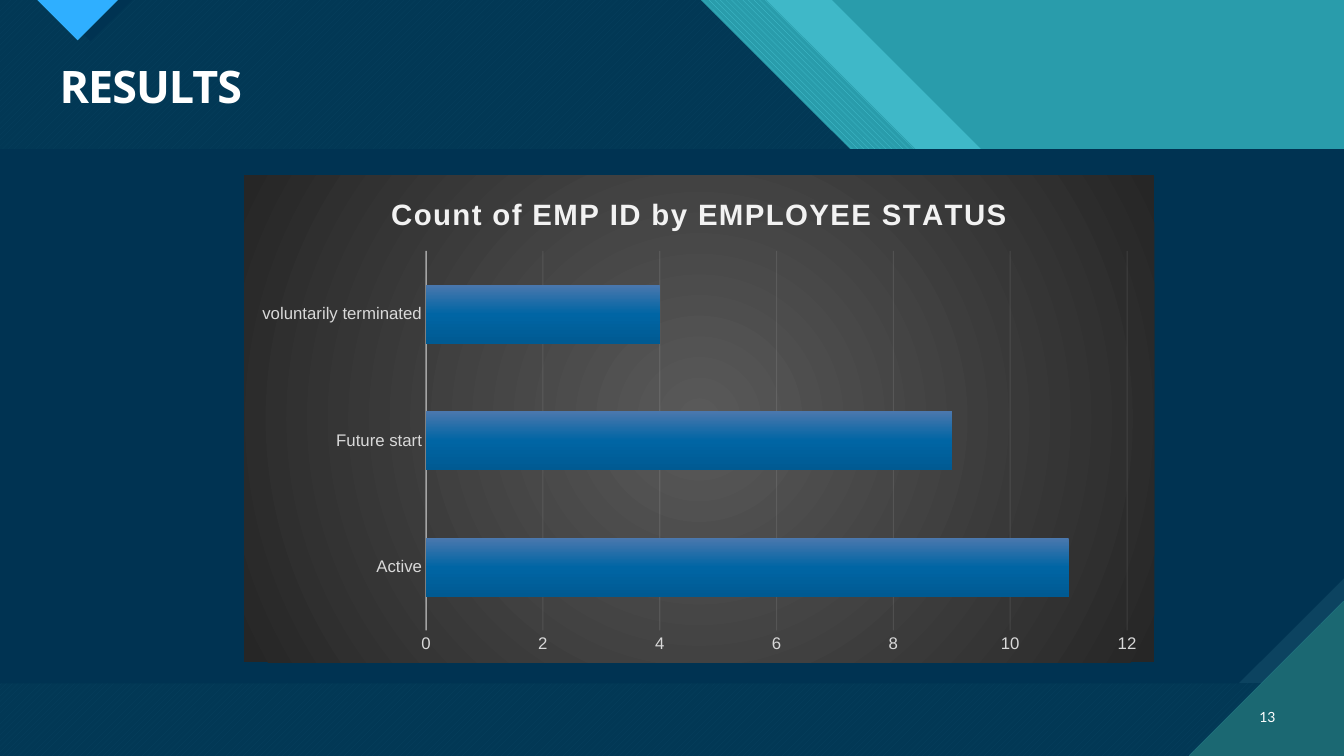
"""Build the RESULTS slide with a bar chart of employee status."""
import lxml.etree
import pptx
import pptx.chart.data
import pptx.dml.color
import pptx.enum.chart
import pptx.enum.dml
import pptx.enum.shapes
import pptx.enum.text
import pptx.oxml
import pptx.oxml.ns
import pptx.util

Inches = pptx.util.Inches
Pt = pptx.util.Pt
PATTERN = pptx.enum.dml.MSO_PATTERN
SHAPE = pptx.enum.shapes.MSO_SHAPE
qn = pptx.oxml.ns.qn
WIDTH, HEIGHT, SHELF = 13.33, 7.5, 2.97


def rgb(code):
    return pptx.dml.color.RGBColor.from_string(code)


def paint(shape, color, pattern=None, back=None, opacity=100):
    shape.shadow.inherit = False
    shape.line.fill.background()
    if pattern is None:
        shape.fill.solid()
    else:
        shape.fill.patterned()
        shape.fill.pattern = pattern
        shape.fill.back_color.rgb = rgb(back)
    shape.fill.fore_color.rgb = rgb(color)
    if opacity < 100:
        tint = shape._element.spPr.find(".//" + qn("a:srgbClr"))
        lxml.etree.SubElement(tint, qn("a:alpha"), val=str(opacity * 1000))


prs = pptx.Presentation()
prs.slide_width, prs.slide_height = Inches(WIDTH), Inches(HEIGHT)
slide = prs.slides.add_slide(prs.slide_layouts[5])
shapes = slide.shapes
slide.background.fill.solid()
slide.background.fill.fore_color.rgb = rgb("47C3D3")

backdrop = shapes.add_shape(SHAPE.RECTANGLE, 0, 0, prs.slide_width, prs.slide_height)
paint(backdrop, "299CAB")

bands = [
    (8.25, 12.34, ("47C3D3", None, None, 74)),
    (7.6, 11.84, ("47C3D3", PATTERN.WIDE_DOWNWARD_DIAGONAL, "299CAB")),
    (6.95, 11.18, ("47C3D3", PATTERN.WIDE_UPWARD_DIAGONAL, "1B6872")),
    (6.95, 11.18, ("003352", None, None, 90)),
]
outlines = [
    ([(0, 0), (top, 0), (top + SHELF, SHELF), (ledge, SHELF),
      (WIDTH, SHELF + WIDTH - ledge), (WIDTH, HEIGHT), (0, HEIGHT)], style)
    for top, ledge, style in bands
]
outlines += [
    ([(0.48, 0), (1.31, 0), (0.9, 0.41)], ("003352",)),
    ([(0.37, 0), (1.17, 0), (0.77, 0.4)],
     ("2FAFFF", PATTERN.DARK_HORIZONTAL, "1B6872")),
]
corner = ([(11.79, HEIGHT), (WIDTH, HEIGHT), (WIDTH, 5.96)],
          ("1B6872", PATTERN.DARK_HORIZONTAL, "47C3D3"))

for points, style in outlines + [corner]:
    corners = [(Inches(x), Inches(y)) for x, y in points]
    builder = shapes.build_freeform(*corners[0])
    builder.add_line_segments(corners[1:])
    paint(builder.convert_to_shape(), *style)
corner_triangle = shapes[-1]

panels = [(0, ("0C4360", PATTERN.DARK_VERTICAL, "1B6872")), (0.197, ("003352",))]
for snip, style in panels:
    panel = shapes.add_shape(
        SHAPE.SNIP_1_RECTANGLE, 0, Inches(1.48), prs.slide_width, Inches(5.3))
    panel.adjustments[0] = snip
    panel._element.spPr.find(qn("a:xfrm")).set("flipV", "1")
    paint(panel, *style)
shapes._spTree.append(corner_triangle._element)

title = shapes.title
shapes._spTree.append(title._element)
title.left, title.top = Inches(0.49), Inches(0.59)
title.width, title.height = Inches(12.26), Inches(0.59)
title.text_frame.text = "RESULTS"
title.text_frame.vertical_anchor = pptx.enum.text.MSO_ANCHOR.MIDDLE
heading = title.text_frame.paragraphs[0]
heading.alignment = pptx.enum.text.PP_ALIGN.LEFT
heading.line_spacing = 0.9
heading.font.name, heading.font.size, heading.font.bold = "Noto Sans", Pt(32), True
heading.font.color.rgb = rgb("FFFFFF")
heading.runs[0]._r.get_or_add_rPr().set("spc", "-70")

page_box = shapes.add_textbox(Inches(12.31), Inches(6.91), Inches(0.44), Inches(0.4))
page_box.text_frame.word_wrap = True
page_box.text_frame.vertical_anchor = pptx.enum.text.MSO_ANCHOR.MIDDLE
page_number = page_box.text_frame.paragraphs[0]
page_number.text = "13"
page_number.alignment = pptx.enum.text.PP_ALIGN.RIGHT
page_number.font.name, page_number.font.size = "Lato", Pt(10)
page_number.font.color.rgb = rgb("FFFFFF")

status_data = pptx.chart.data.CategoryChartData()
status_data.categories = ["Active", "Future start", "voluntarily terminated"]
status_data.add_series("Series 1", [11, 9, 4])
chart = shapes.add_chart(
    pptx.enum.chart.XL_CHART_TYPE.BAR_CLUSTERED,
    Inches(2.42), Inches(1.74), Inches(9.03), Inches(4.83), status_data).chart
chart.has_legend = False
chart.font.name, chart.font.size = "Arial", Pt(10)

chart.has_title = True
chart.chart_title.include_in_layout = False
chart_heading = chart.chart_title.text_frame.paragraphs[0]
chart_heading.text = "Count of EMP ID by EMPLOYEE STATUS"
chart_heading.font.name, chart_heading.font.size = "Arial", Pt(21)
chart_heading.font.bold = True
chart_heading.font.color.rgb = rgb("F2F2F2")
chart_heading.runs[0]._r.get_or_add_rPr().set("spc", "100")

status_axis, count_axis = chart.category_axis, chart.value_axis
for axis in (status_axis, count_axis):
    axis.major_tick_mark = axis.minor_tick_mark = pptx.enum.chart.XL_TICK_MARK.NONE
    axis.tick_labels.font.name, axis.tick_labels.font.size = "Arial", Pt(12)
    axis.tick_labels.font.color.rgb = rgb("D9D9D9")
count_axis.minimum_scale, count_axis.maximum_scale, count_axis.major_unit = 0, 12, 2
count_axis.format.line.fill.background()

rules = [(status_axis.format.line, 1, 54), (count_axis.major_gridlines.format.line, 0.75, 10)]
for rule, weight, opacity in rules:
    rule.width = Pt(weight)
    rule.color.rgb = rgb("F2F2F2")
    tint = rule._ln.find(".//" + qn("a:srgbClr"))
    lxml.etree.SubElement(tint, qn("a:alpha"), val=str(opacity * 1000))

plot = chart.plots[0]
plot.gap_width, plot.overlap, plot.vary_by_categories = 115, -20, False
bars = plot.series[0]
bars.invert_if_negative = False
bars.format.line.fill.background()

chart_space = chart._chartSpace
frame = pptx.oxml.parse_xml(
    f'<c:spPr {pptx.oxml.ns.nsdecls("c", "a")}><a:ln><a:noFill/></a:ln></c:spPr>')
chart_space.find(qn("c:chart")).addnext(frame)
gradients = [
    (frame, [(0, "595959"), (100, "262626")],
     '<a:path path="circle"><a:fillToRect l="50000" t="50000" r="50000" b="50000"/></a:path>'),
    (bars._element.find(qn("c:spPr")), [(0, "4B78AE"), (50, "0065A4"), (100, "005A92")],
     '<a:lin ang="5400000" scaled="0"/>'),
]
for properties, stops, direction in gradients:
    steps = "".join(
        f'<a:gs pos="{place * 1000}"><a:srgbClr val="{color}"/></a:gs>'
        for place, color in stops)
    properties.insert(0, pptx.oxml.parse_xml(
        f'<a:gradFill {pptx.oxml.ns.nsdecls("a")}><a:gsLst>{steps}</a:gsLst>{direction}</a:gradFill>'))

plot_area = chart_space.find(".//" + qn("c:plotArea"))
for old_layout in plot_area.findall(qn("c:layout")):
    plot_area.remove(old_layout)
layout = lxml.etree.Element(qn("c:layout"))
manual = lxml.etree.SubElement(layout, qn("c:manualLayout"))
placement = [("layoutTarget", "inner"), ("xMode", "edge"), ("yMode", "edge"),
             ("x", "0.2"), ("y", "0.155"), ("w", "0.77"), ("h", "0.78")]
for part, setting in placement:
    lxml.etree.SubElement(manual, qn(f"c:{part}"), val=setting)
plot_area.insert(0, layout)

prs.save("out.pptx")
